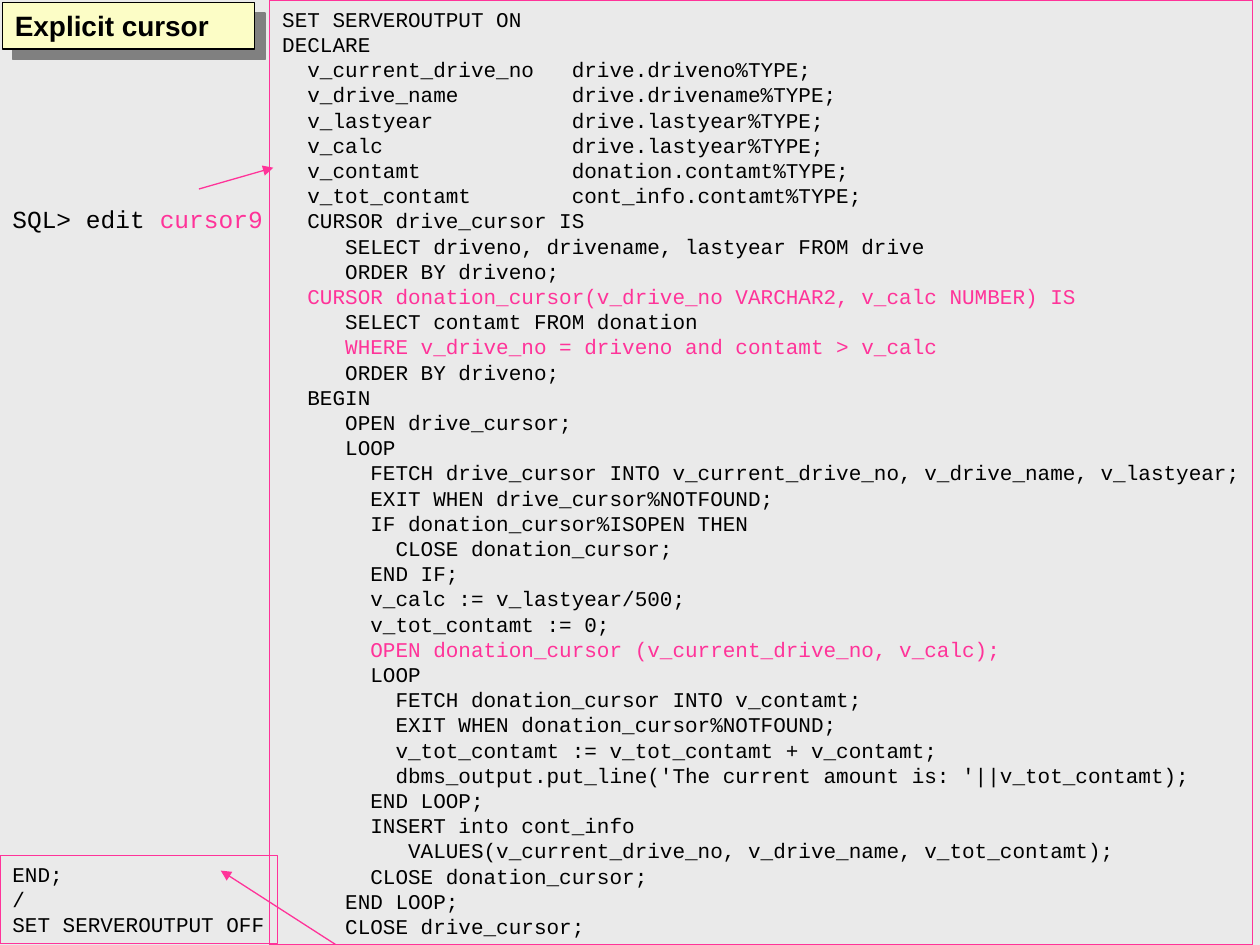
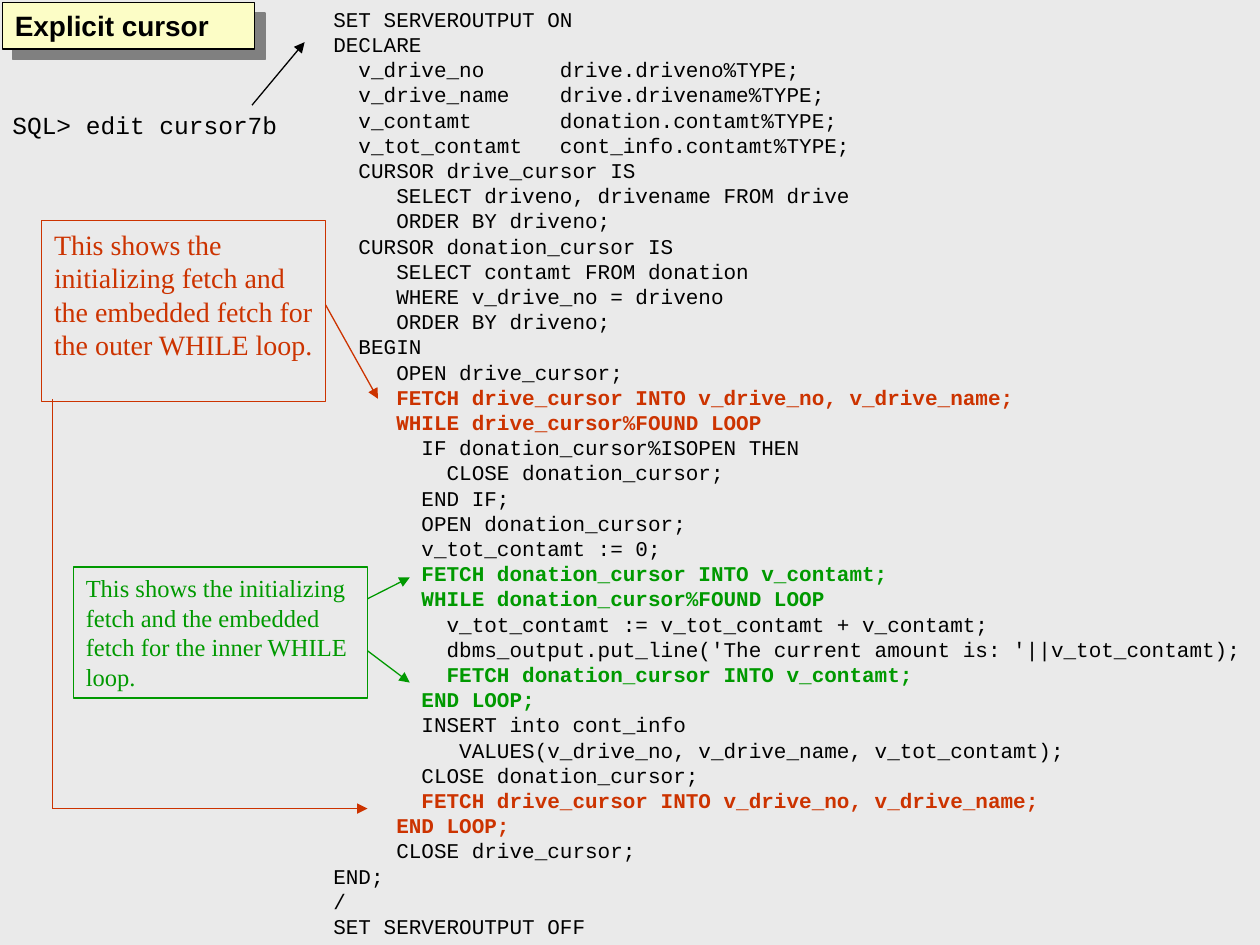
from dataclasses import dataclass
from typing import Optional

from lxml import etree
from pptx import Presentation
from pptx import util as u
from pptx.dml.color import RGBColor
from pptx.enum import shapes, text
from pptx.oxml import ns


@dataclass(frozen=True)
class Theme:
    background: str = "EAEAEA"
    title_fill: str = "FCFDC6"
    shadow: str = "808080"
    ink: str = "000000"
    pink: str = "FF3399"
    outer: str = "CC3300"
    inner: str = "009900"
    title_font: str = "Arial"
    code_font: str = "Courier New"
    note_font: str = "Times New Roman"
    title_size: float = 16
    code_size: float = 12
    prompt_size: float = 14
    outer_note_size: float = 16
    inner_note_size: float = 14
    line_width: float = 0.75


THEME = Theme()


@dataclass(frozen=True)
class Box:
    """Place of a text box, in centimetres."""
    left: float
    top: float
    width: float
    height: float


@dataclass(frozen=True)
class Run:
    words: str
    color: str = THEME.ink
    bold: bool = False


@dataclass(frozen=True)
class Note:
    box: Box
    words: str
    color: str
    size: float


@dataclass(frozen=True)
class Line:
    """A straight line in centimetres, with an arrowhead at its end if wanted."""
    start: tuple[float, float]
    end: tuple[float, float]
    color: str
    arrow: bool = True


# A code line may open with a tag that names its highlight.
HIGHLIGHTS = {
    "<pink>": (THEME.pink, False),
    "<outer>": (THEME.outer, True),
    "<inner>": (THEME.inner, True),
}

CURSOR9_CODE = [
    "SET SERVEROUTPUT ON",
    "DECLARE",
    "  v_current_drive_no   drive.driveno%TYPE;",
    "  v_drive_name         drive.drivename%TYPE;",
    "  v_lastyear           drive.lastyear%TYPE;",
    "  v_calc               drive.lastyear%TYPE;",
    "  v_contamt            donation.contamt%TYPE;",
    "  v_tot_contamt        cont_info.contamt%TYPE;",
    "  CURSOR drive_cursor IS",
    "     SELECT driveno, drivename, lastyear FROM drive",
    "     ORDER BY driveno;",
    "<pink>  CURSOR donation_cursor(v_drive_no VARCHAR2, v_calc NUMBER) IS",
    "     SELECT contamt FROM donation",
    "<pink>     WHERE v_drive_no = driveno and contamt > v_calc",
    "     ORDER BY driveno;",
    "  BEGIN",
    "     OPEN drive_cursor;",
    "     LOOP",
    "       FETCH drive_cursor INTO v_current_drive_no, v_drive_name, v_lastyear;",
    "       EXIT WHEN drive_cursor%NOTFOUND;",
    "       IF donation_cursor%ISOPEN THEN",
    "         CLOSE donation_cursor;",
    "       END IF;",
    "       v_calc := v_lastyear/500;",
    "       v_tot_contamt := 0;",
    "<pink>       OPEN donation_cursor (v_current_drive_no, v_calc);",
    "       LOOP",
    "         FETCH donation_cursor INTO v_contamt;",
    "         EXIT WHEN donation_cursor%NOTFOUND;",
    "         v_tot_contamt := v_tot_contamt + v_contamt;",
    "         dbms_output.put_line('The current amount is: '||v_tot_contamt);",
    "       END LOOP;",
    "       INSERT into cont_info",
    "          VALUES(v_current_drive_no, v_drive_name, v_tot_contamt);",
    "       CLOSE donation_cursor;",
    "     END LOOP;",
    "     CLOSE drive_cursor;",
]

ENDING = ["END;", "/", "SET SERVEROUTPUT OFF"]

CURSOR7B_CODE = [
    "SET SERVEROUTPUT ON",
    "DECLARE",
    "  v_drive_no      drive.driveno%TYPE;",
    "  v_drive_name    drive.drivename%TYPE;",
    "  v_contamt       donation.contamt%TYPE;",
    "  v_tot_contamt   cont_info.contamt%TYPE;",
    "  CURSOR drive_cursor IS",
    "     SELECT driveno, drivename FROM drive",
    "     ORDER BY driveno;",
    "  CURSOR donation_cursor IS",
    "     SELECT contamt FROM donation",
    "     WHERE v_drive_no = driveno",
    "     ORDER BY driveno;",
    "  BEGIN",
    "     OPEN drive_cursor;",
    "<outer>     FETCH drive_cursor INTO v_drive_no, v_drive_name;",
    "<outer>     WHILE drive_cursor%FOUND LOOP",
    "       IF donation_cursor%ISOPEN THEN",
    "         CLOSE donation_cursor;",
    "       END IF;",
    "       OPEN donation_cursor;",
    "       v_tot_contamt := 0;",
    "<inner>       FETCH donation_cursor INTO v_contamt;",
    "<inner>       WHILE donation_cursor%FOUND LOOP",
    "         v_tot_contamt := v_tot_contamt + v_contamt;",
    "         dbms_output.put_line('The current amount is: '||v_tot_contamt);",
    "<inner>         FETCH donation_cursor INTO v_contamt;",
    "<inner>       END LOOP;",
    "       INSERT into cont_info",
    "          VALUES(v_drive_no, v_drive_name, v_tot_contamt);",
    "       CLOSE donation_cursor;",
    "<outer>       FETCH drive_cursor INTO v_drive_no, v_drive_name;",
    "<outer>     END LOOP;",
    "     CLOSE drive_cursor;",
]

NOTES = [
    Note(Box(0.84, 4.45, 5.72, 3.65),
         "This shows the initializing fetch and the embedded fetch for the outer WHILE loop.",
         THEME.outer, THEME.outer_note_size),
    Note(Box(1.48, 11.43, 5.93, 2.64),
         "This shows the initializing fetch and the embedded fetch for the inner WHILE loop.",
         THEME.inner, THEME.inner_note_size),
]

CURSOR9_LINES = [
    Line((6.78, 19.05), (4.45, 17.55), THEME.pink),
    Line((4.01, 3.81), (5.51, 3.38), THEME.pink),
]

CURSOR7B_LINES = [
    Line((6.56, 6.14), (7.62, 8.04), THEME.outer),
    Line((7.41, 12.07), (8.26, 11.64), THEME.inner),
    Line((7.41, 13.12), (8.26, 13.76), THEME.inner),
    Line((1.06, 8.04), (1.06, 16.3), THEME.outer, arrow=False),
    Line((1.06, 16.3), (7.41, 16.3), THEME.outer),
    Line((5.08, 2.12), (6.14, 0.85), THEME.ink),
]


def format_font(font, *, name: str, size: float, color: str, bold: bool = False) -> None:
    font.name, font.size, font.bold = name, u.Pt(size), bold
    font.color.rgb = RGBColor.from_string(color)


def format_line(line, color: str) -> None:
    line.color.rgb = RGBColor.from_string(color)
    line.width = u.Pt(THEME.line_width)


def format_frame(frame, *, wrap: bool) -> None:
    frame.word_wrap = wrap
    frame.auto_size = text.MSO_AUTO_SIZE.NONE
    frame.vertical_anchor = text.MSO_ANCHOR.TOP
    frame.margin_left = frame.margin_right = u.Cm(0.25)
    frame.margin_top = frame.margin_bottom = u.Cm(0.13)


def write_paragraph(paragraph, runs: list[Run], *, font: str, size: float) -> None:
    paragraph.alignment = text.PP_ALIGN.LEFT
    for part in runs:
        run = paragraph.add_run()
        run.text = part.words
        format_font(run.font, name=font, size=size, color=part.color, bold=part.bold)


def add_text(slide, box: Box, paragraphs: list[list[Run]], *, font: str, size: float,
             border: Optional[str] = None, wrap: bool = False) -> None:
    place = [u.Cm(length) for length in (box.left, box.top, box.width, box.height)]
    if border:
        shape = slide.shapes.add_shape(shapes.MSO_SHAPE.RECTANGLE, *place)
        shape.shadow.inherit = False
        shape.fill.background()
        format_line(shape.line, border)
    else:
        shape = slide.shapes.add_textbox(*place)
    frame = shape.text_frame
    format_frame(frame, wrap=wrap)
    for index, runs in enumerate(paragraphs):
        paragraph = frame.add_paragraph() if index else frame.paragraphs[0]
        write_paragraph(paragraph, runs, font=font, size=size)


def code_run(line: str) -> Run:
    """Turn a code line, with or without a highlight tag, into a run."""
    for tag, (color, bold) in HIGHLIGHTS.items():
        if line.startswith(tag):
            return Run(line.removeprefix(tag), color, bold)
    return Run(line)


def add_code(slide, box: Box, lines: list[str], border: Optional[str] = None) -> None:
    add_text(slide, box, [[code_run(line)] for line in lines],
             font=THEME.code_font, size=THEME.code_size, border=border)


def add_prompt(slide, box: Box, runs: list[Run]) -> None:
    add_text(slide, box, [runs], font=THEME.code_font, size=THEME.prompt_size)


def add_line(slide, line: Line) -> None:
    connector = slide.shapes.add_connector(
        shapes.MSO_CONNECTOR.STRAIGHT, *(u.Cm(length) for length in line.start + line.end))
    format_line(connector.line, line.color)
    properties = connector._element.spPr
    if line.arrow:
        etree.SubElement(properties.find(ns.qn("a:ln")), ns.qn("a:tailEnd"), type="triangle")
    etree.SubElement(properties, ns.qn("a:effectLst"))


def add_offset_shadow(shape) -> None:
    """Give the shape a hard shadow below and to the right."""
    shape.shadow.inherit = False
    effects = shape._element.spPr.find(ns.qn("a:effectLst"))
    shadow = etree.SubElement(effects, ns.qn("a:outerShdw"), blurRad="0",
                              dist=str(int(u.Pt(8.5))), dir="2700000", algn="ctr",
                              rotWithShape="0")
    etree.SubElement(shadow, ns.qn("a:srgbClr"), val=THEME.shadow)


def add_titled_slide(presentation, title: str):
    slide = presentation.slides.add_slide(presentation.slide_layouts.get_by_name("Title Only"))
    shape = slide.shapes.title
    shape.left = shape.top = u.Cm(0.05)
    shape.width, shape.height = u.Cm(5.08), u.Cm(0.94)
    shape.fill.solid()
    shape.fill.fore_color.rgb = RGBColor.from_string(THEME.title_fill)
    format_line(shape.line, THEME.ink)
    add_offset_shadow(shape)
    format_frame(shape.text_frame, wrap=True)
    write_paragraph(shape.text_frame.paragraphs[0], [Run(title, bold=True)],
                    font=THEME.title_font, size=THEME.title_size)
    return slide


def build_cursor9_slide(presentation) -> None:
    slide = add_titled_slide(presentation, "Explicit cursor")
    add_code(slide, Box(5.44, 0, 19.81, 19.05), CURSOR9_CODE, THEME.pink)
    add_code(slide, Box(0, 17.24, 5.59, 1.78), ENDING, THEME.pink)
    add_prompt(slide, Box(0, 3.99, 5.56, 0.86), [Run("SQL> edit "), Run("cursor9", THEME.pink)])
    for line in CURSOR9_LINES:
        add_line(slide, line)


def build_cursor7b_slide(presentation) -> None:
    slide = add_titled_slide(presentation, "Explicit cursor")
    add_code(slide, Box(6.47, 0, 18.8, 19.05), CURSOR7B_CODE + ENDING)
    for note in NOTES:
        add_text(slide, note.box, [[Run(note.words, note.color)]], font=THEME.note_font,
                 size=note.size, border=note.color, wrap=True)
    add_prompt(slide, Box(0, 2.08, 5.84, 0.86), [Run("SQL> edit cursor7b")])
    for line in CURSOR7B_LINES:
        add_line(slide, line)


presentation = Presentation()
presentation.slide_width, presentation.slide_height = u.Cm(25.4), u.Cm(19.05)
background = presentation.slide_master.background.fill
background.solid()
background.fore_color.rgb = RGBColor.from_string(THEME.background)
build_cursor9_slide(presentation)
build_cursor7b_slide(presentation)
presentation.save("out.pptx")
